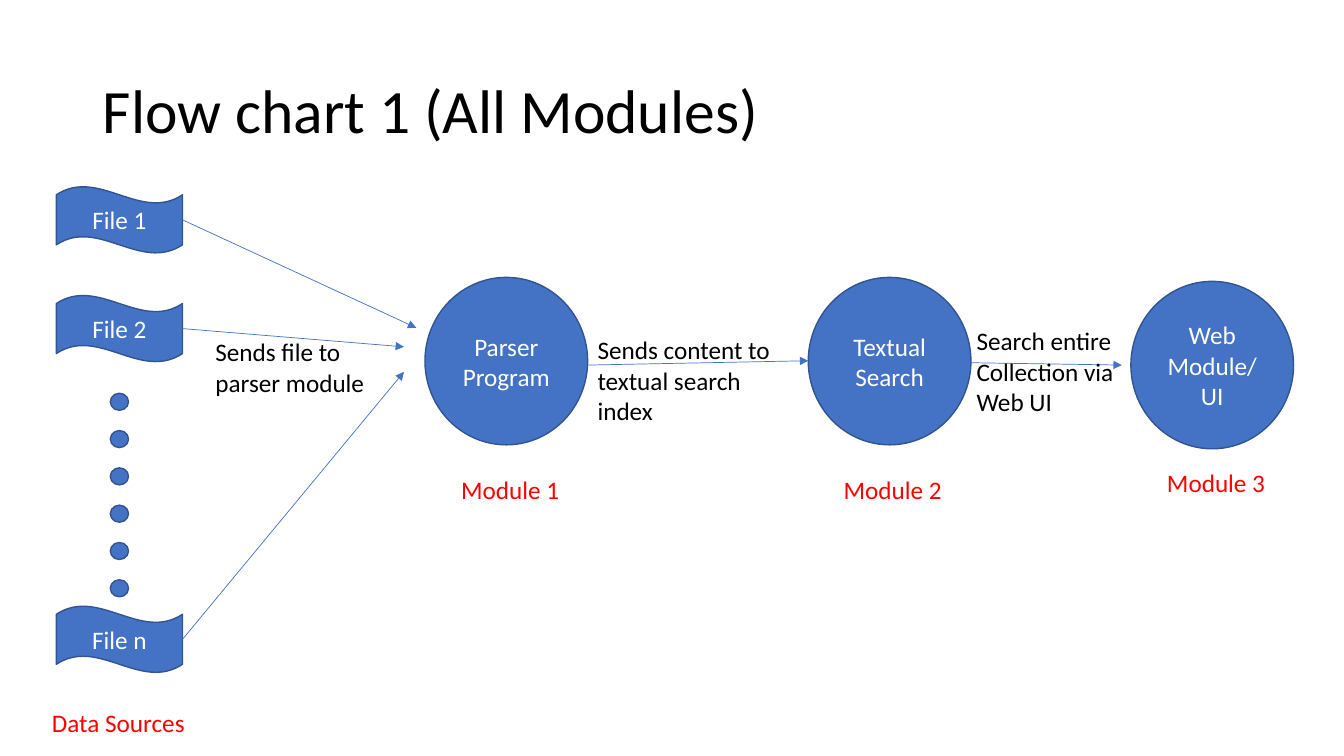
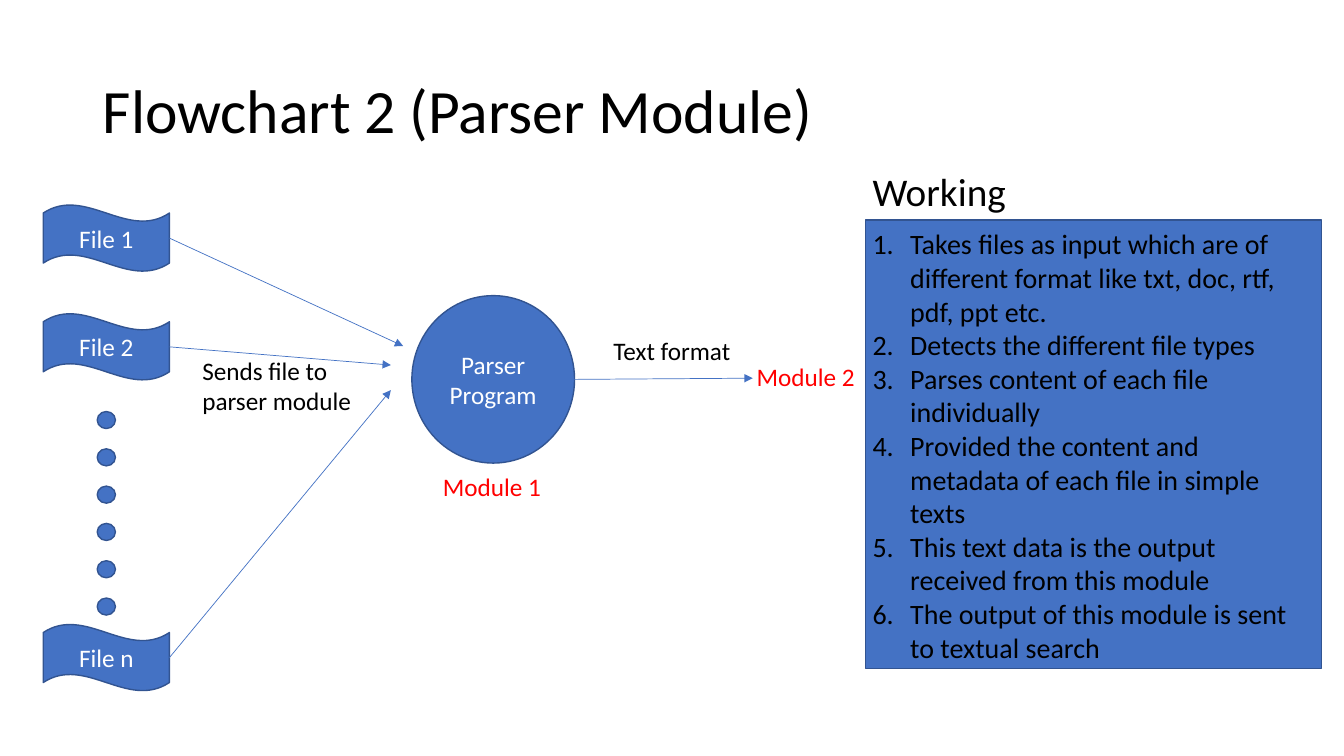
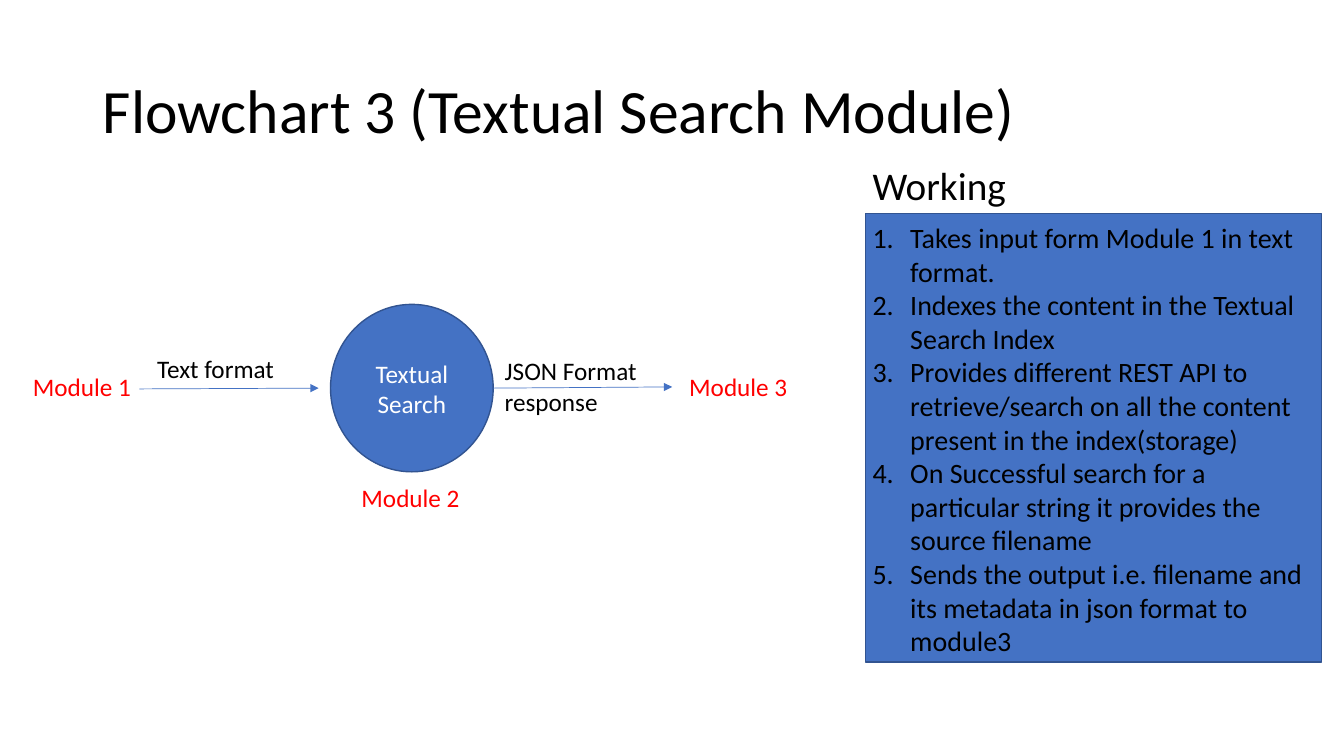
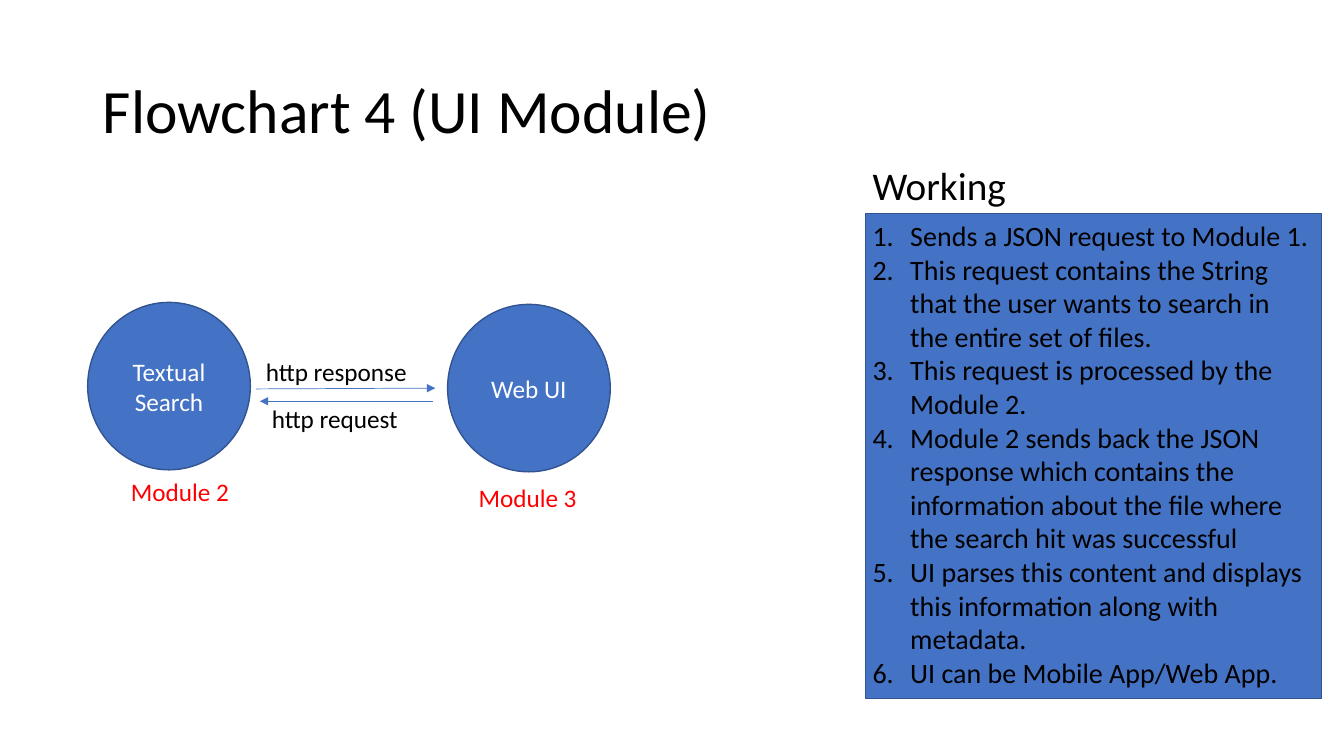
"""Builds four flow chart slides of a document search system."""
from lxml.etree import SubElement
from pptx import Presentation
from pptx.dml.color import RGBColor
from pptx.enum.shapes import MSO_CONNECTOR, MSO_SHAPE
from pptx.enum.text import MSO_ANCHOR, MSO_AUTO_SIZE, PP_ALIGN
from pptx.oxml.ns import qn
from pptx.util import Cm, Pt

CIRCLE, WAVE, PANEL = MSO_SHAPE.OVAL, MSO_SHAPE.WAVE, MSO_SHAPE.RECTANGLE
STRAIGHT = MSO_CONNECTOR.STRAIGHT
MIDDLE, CENTER, LEFT = MSO_ANCHOR.MIDDLE, PP_ALIGN.CENTER, PP_ALIGN.LEFT
FIT = MSO_AUTO_SIZE.SHAPE_TO_FIT_TEXT
FONT = "Calibri"
COLORS = {"blue": "4472C4", "edge": "325491", "ink": "000000",
          "white": "FFFFFF", "red": "FF0000"}
NODE_W, NODE_H = 4.1, 4.22
FILE_W, FILE_H = 3.18, 1.68
DOT_W, DOT_H = 0.46, 0.43
PANEL_LEFT, PANEL_W = 21.82, 11.48


def color(name):
    """Return the named colour of the palette."""
    return RGBColor.from_string(COLORS[name])


def write(frame, text, size, ink, align=LEFT):
    """Fill a text frame and format all its runs."""
    frame.text = text
    for paragraph in frame.paragraphs:
        paragraph.alignment = align
        for run in paragraph.runs:
            run.font.name = FONT
            run.font.size = Pt(size)
            run.font.color.rgb = color(ink)


def block(slide, kind, left, top, width, height, text=""):
    """Draw a blue shape with optional centred white text."""
    shape = slide.shapes.add_shape(kind, Cm(left), Cm(top), Cm(width), Cm(height))
    shape.shadow.inherit = False
    shape.fill.solid()
    shape.fill.fore_color.rgb = color("blue")
    shape.line.color.rgb = color("edge")
    shape.line.width = Pt(1)
    if text:
        shape.text_frame.vertical_anchor = MIDDLE
        write(shape.text_frame, text, 18, "white", CENTER)


def label(slide, left, top, width, text, ink="ink", wrap=False):
    """Place a label whose height follows its number of lines."""
    lines = 2 if wrap else text.count("\n") + 1
    box = slide.shapes.add_textbox(Cm(left), Cm(top), Cm(width), Cm(0.25 + 0.78 * lines))
    box.text_frame.word_wrap = wrap
    box.text_frame.auto_size = FIT
    write(box.text_frame, text, 18, ink)


def module_label(slide, left, top, number):
    """Place the red name of a module."""
    label(slide, left, top, 3.02, f"Module {number}", "red")


def arrow(slide, start_x, start_y, end_x, end_y):
    """Draw a thin arrow between two points."""
    link = slide.shapes.add_connector(STRAIGHT, Cm(start_x), Cm(start_y), Cm(end_x), Cm(end_y))
    link.line.color.rgb = color("blue")
    link.line.width = Pt(0.5)
    properties = link.element.spPr
    SubElement(properties.find(qn("a:ln")), qn("a:tailEnd"), type="triangle")
    SubElement(properties, qn("a:effectLst"))


def module(slide, left, top, name, number, shift_x=0.53, shift_y=4.37):
    """Draw a module circle with its red name below."""
    block(slide, CIRCLE, left, top, NODE_W, NODE_H, name)
    module_label(slide, left + shift_x, top + shift_y, number)


def title(slide, text):
    """Place the slide title."""
    box = slide.shapes.add_textbox(Cm(2.34), Cm(1.02), Cm(29.21), Cm(3.68))
    box.text_frame.word_wrap = True
    box.text_frame.vertical_anchor = MIDDLE
    write(box.text_frame, text, 44, "ink")
    box.text_frame.paragraphs[0].line_spacing = 0.9


def working(slide, top, height, steps, text_shift=0.05, text_extra=0.08):
    """Draw the numbered panel with its heading."""
    left = PANEL_LEFT - 0.08
    block(slide, PANEL, PANEL_LEFT, top, PANEL_W, height)
    step_list = slide.shapes.add_textbox(Cm(left), Cm(top + text_shift),
                                         Cm(PANEL_W + 0.05), Cm(height + text_extra))
    step_list.text_frame.word_wrap = True
    step_list.text_frame.auto_size = FIT
    write(step_list.text_frame, "\n".join(steps), 20, "ink")
    for paragraph in step_list.text_frame.paragraphs:
        properties = paragraph._p.get_or_add_pPr()
        properties.set("marL", str(Cm(0.95)))
        properties.set("indent", str(-Cm(0.95)))
        SubElement(properties, qn("a:buAutoNum"), type="arabicPeriod")
    heading = slide.shapes.add_textbox(Cm(left), Cm(top - 1.45), Cm(3.91), Cm(1.45))
    heading.text_frame.word_wrap = False
    heading.text_frame.auto_size = FIT
    write(heading.text_frame, "Working", 28, "ink")


def file_intake(slide, left, top, shift_x, shift_y):
    """Draw the files that flow into the parser module."""
    files = (("File 1", 0, 9.07, 3.56), ("File 2", 2.74, 8.76, 4.04),
             ("File n", 10.57, 8.76, 4.67))
    for name, drop, end_x, end_y in files:
        block(slide, WAVE, left, top + drop, FILE_W, FILE_H, name)
        arrow(slide, left + FILE_W, top + drop + FILE_H / 2, left + end_x, top + end_y)
    for index in range(6):
        block(slide, CIRCLE, left + 1.36, top + 5.21 + 0.94 * index, DOT_W, DOT_H)
    module(slide, left + 9.29, top + 2.29, "Parser Program", 1, shift_x, shift_y)
    label(slide, left + 3.76, top + 3.66, 4.52, "Sends file to parser module", wrap=True)


def all_modules(slide, left, top):
    """Draw the whole flow from files to web module."""
    file_intake(slide, left, top, 0.66, 4.83)
    label(slide, left - 0.36, top + 13, 3.89, "Data Sources", "red")
    module(slide, left + 18.95, top + 2.29, "Textual Search", 2, 0.64, 4.83)
    module(slide, left + 27.08, top + 2.39, "Web Module/UI", 3, 0.66, 4.57)
    arrow(slide, left + 13.39, top + 4.5, left + 18.95, top + 4.39)
    arrow(slide, left + 23.04, top + 4.44, left + 26.85, top + 4.5)
    label(slide, left + 13.39, top + 3.61, 5.56, "Sends content to\ntextual search index")
    label(slide, left + 22.94, top + 3.38, 4.01, "Search entire\nCollection via\nWeb UI")


def parser_flow(slide, left, top):
    """Draw the parser module and its output."""
    file_intake(slide, left, top, 0.53, 4.29)
    arrow(slide, left + 13.36, top + 4.4, left + 17.88, top + 4.37)
    label(slide, left + 14.12, top + 3.17, 3.48, "Text format")
    module_label(slide, left + 17.73, top + 3.81, 2)


def search_flow(slide, left, top):
    """Draw the search module between its neighbours."""
    module_label(slide, left, top + 1.55, 1)
    arrow(slide, left + 2.93, top + 2.13, left + 7.45, top + 2.11)
    label(slide, left + 3.13, top + 1.12, 3.48, "Text format")
    module(slide, left + 7.75, top, "Textual Search", 2)
    arrow(slide, left + 11.84, top + 2.11, left + 16.36, top + 2.08)
    label(slide, left + 11.89, top + 1.17, 3.86, "JSON Format\nresponse")
    module_label(slide, left + 16.54, top + 1.55, 3)


def ui_flow(slide, left, top):
    """Draw the exchange between search and web interface."""
    module(slide, left, top, "Textual Search", 2, 0.84, 4.27)
    module(slide, left + 9.07, top + 0.05, "Web UI", 3)
    arrow(slide, left + 4.24, top + 2.18, left + 8.76, top + 2.16)
    arrow(slide, left + 8.71, top + 2.49, left + 4.34, top + 2.49)
    label(slide, left + 4.24, top + 1.24, 4.11, "http response")
    label(slide, left + 4.39, top + 2.41, 3.73, "http request")


deck = Presentation()
deck.slide_width, deck.slide_height = Cm(33.87), Cm(19.05)
blank = deck.slide_layouts[6]

overview = deck.slides.add_slide(blank)
title(overview, "Flow chart 1 (All Modules)")
all_modules(overview, 1.42, 4.7)

parsing = deck.slides.add_slide(blank)
title(parsing, "Flowchart 2 (Parser Module)")
parser_flow(parsing, 1.09, 5.16)
working(parsing, 5.54, 11.3, [
    "Takes files as input which are of different format like txt, doc, rtf, pdf, ppt etc.",
    "Detects the different file types",
    "Parses content of each file individually",
    "Provided the content and metadata of each file in simple texts",
    "This text data is the output received from this module",
    "The output of this module is sent to textual search",
])

searching = deck.slides.add_slide(blank)
title(searching, "Flowchart 3 (Textual Search Module)")
search_flow(searching, 0.58, 7.67)
working(searching, 5.38, 11.3, [
    "Takes input form Module 1 in text format.",
    "Indexes the content in the Textual Search Index",
    "Provides different REST API to retrieve/search on all the content present in the index(storage)",
    "On Successful search for a particular string it provides the source filename",
    "Sends the output i.e. filename and its metadata in json format to module3",
])

interface = deck.slides.add_slide(blank)
title(interface, "Flowchart 4 (UI Module)")
ui_flow(interface, 2.21, 7.62)
working(interface, 5.38, 12.22, [
    "Sends a JSON request to Module 1.",
    "This request contains the String that the user wants to search in the entire set of files.",
    "This request is processed by the Module 2.",
    "Module 2 sends back the JSON response which contains the information about the file "
    "where the search hit was successful",
    "UI parses this content and displays this information along with metadata.",
    "UI can be Mobile App/Web App.",
], 0, 0)

deck.save("out.pptx")
